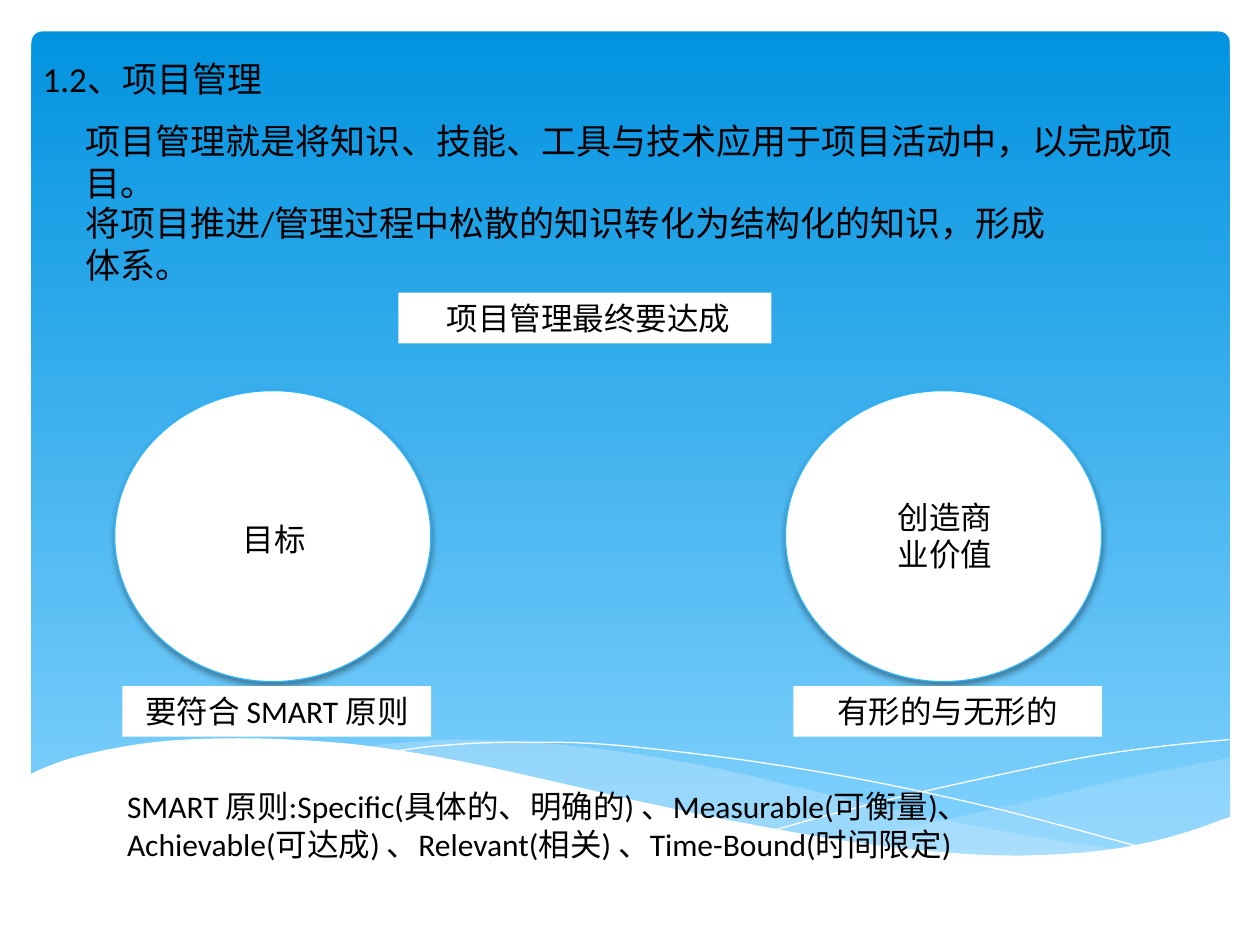
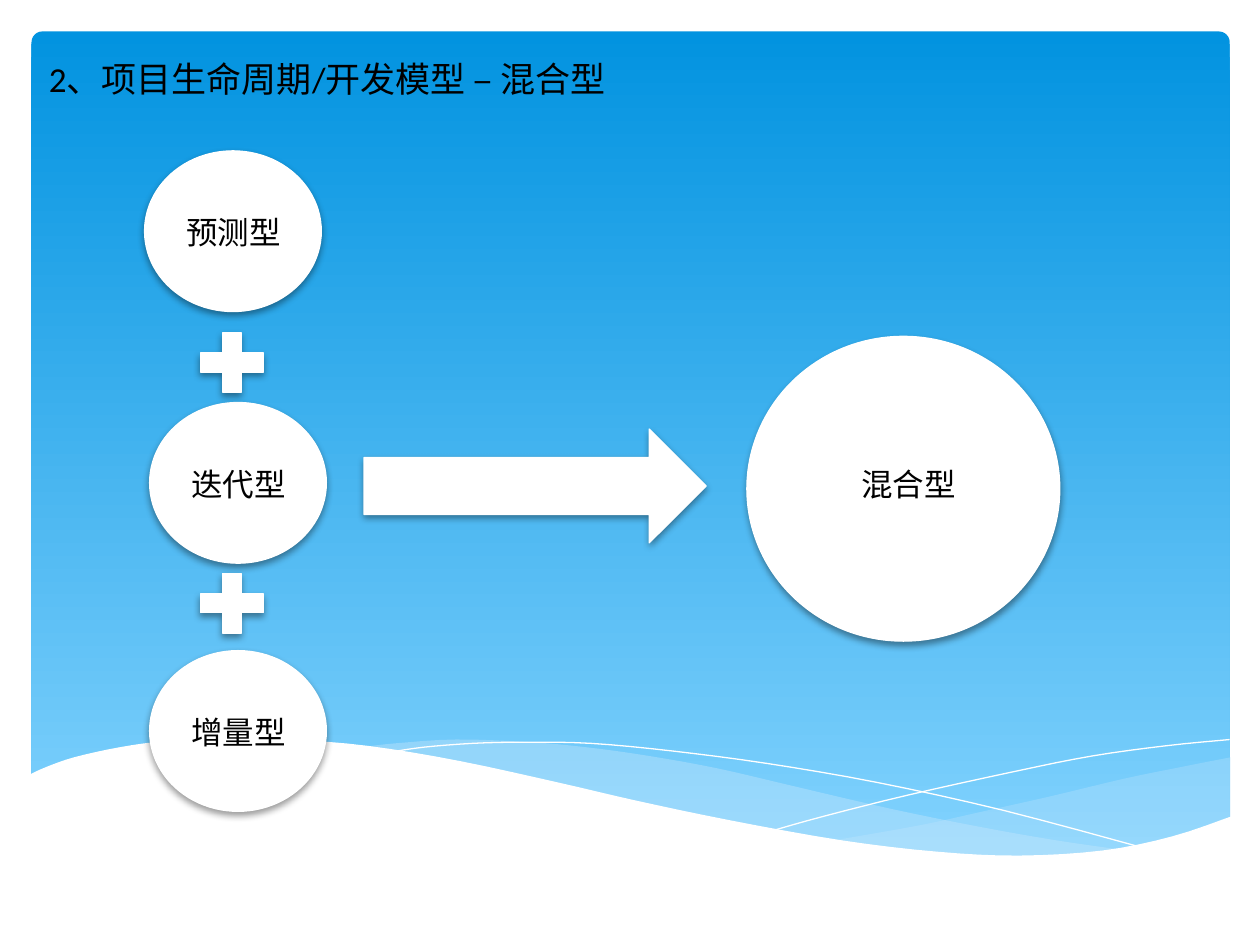
from dataclasses import dataclass

from lxml import etree
from pptx import Presentation
from pptx.dml.color import RGBColor
from pptx.enum.shapes import MSO_SHAPE
from pptx.enum.text import MSO_AUTO_SIZE, PP_ALIGN
from pptx.oxml.ns import qn
from pptx.util import Pt

OVAL = MSO_SHAPE.OVAL
PLUS = MSO_SHAPE.MATH_PLUS
ARROW = MSO_SHAPE.RIGHT_ARROW
ROUND = MSO_SHAPE.ROUNDED_RECTANGLE
LEFT = PP_ALIGN.LEFT
CENTER = PP_ALIGN.CENTER
GROW = MSO_AUTO_SIZE.SHAPE_TO_FIT_TEXT


@dataclass(frozen=True)
class Theme:
    ink: str = "000000"
    white: str = "FFFFFF"
    rim: str = "31B6FD"
    sky: tuple = ("0293E0", "83D3FE")
    mist: str = "C6E7FC"
    latin: str = "Calibri"
    asian: str = "Noto Sans CJK SC"
    head: int = 20
    body: int = 18


THEME = Theme()

SWELL_R = [
    (703.4, 432.7), (673.9, 438.5), (642.2, 445), (600.5, 455),
    (561.6, 463.7), (525.6, 471.6), (476.6, 480.2)]
BASE_R = [
    (476.6, 480.2), (508.3, 484.6), (545.8, 488.2), (586.8, 489.6),
    (622.1, 487.4), (653, 483.1), (679.7, 475.9), (703.4, 467.3)]
SWELL_L = [
    (643.7, 486), (603.4, 480.2), (558.7, 472.3), (509, 462.2),
    (453.6, 449.3), (410.4, 439.2), (370.8, 432), (334.8, 427),
    (302.4, 424.1), (260.6, 422.6), (226.1, 424.8), (206.6, 427)]
BASE_L = [
    (206.6, 427), (247, 432.7), (291.6, 441.4), (324, 449.3),
    (381.6, 462.2), (433.4, 473), (479.5, 481), (520.6, 486.7),
    (557.3, 488.9), (596.9, 489.6), (625, 488.2), (643.7, 486)]
FALL = [
    (223.2, 429.8), (241.9, 427), (270, 424.8), (300.2, 424.1),
    (337.7, 424.8), (383.8, 429.1), (438.5, 436.3), (501.1, 447.1),
    (573.1, 463), (653.8, 484.6)]
RISE = [
    (442.1, 474.5), (470.2, 466.6), (519.1, 454.3), (581, 440.6),
    (624.2, 432), (666, 426.2), (702.7, 422.6)]
CREST = [
    (703.4, 466.6), (669.6, 478), (630, 486), (582.5, 488.9),
    (535.7, 486.7), (481, 480.2), (416.9, 468.7), (362.2, 457.2),
    (321.8, 447.8), (262.8, 434.9), (210.2, 426.2), (165.6, 422.6),
    (127.4, 421.9), (95, 423.4), (68.4, 427), (42.5, 432.7),
    (25.9, 438.5), (16.6, 442.8)]
FLOOR = [(16.6, 526.3), (703.4, 526.3)]


def color(code):
    return RGBColor.from_string(code)


def paint(fill, code):
    fill.solid()
    fill.fore_color.rgb = color(code)


def smooth(nodes, steps=4):
    ends = [nodes[0], *nodes, nodes[-1]]
    curve = [nodes[0]]
    for a, b, c, d in zip(ends, ends[1:], ends[2:], ends[3:]):
        for step in range(1, steps + 1):
            t = step / steps
            curve.append(tuple(
                q + t / 2 * (r - p + t * (2 * p - 5 * q + 4 * r - s
                                          + t * (3 * (q - r) + s - p)))
                for p, q, r, s in zip(a, b, c, d)))
    return curve


def trace(slide, curve, close):
    dots = [(Pt(x), Pt(y)) for x, y in curve]
    pen = slide.shapes.build_freeform(*dots[0])
    pen.add_line_segments(dots[1:], close=close)
    shape = pen.convert_to_shape()
    shape.shadow.inherit = False
    return shape


def wave(slide, curve, code, alpha=100):
    shape = trace(slide, curve, True)
    paint(shape.fill, code)
    shape.line.fill.background()
    if alpha < 100:
        tint = shape._element.spPr.find(".//" + qn("a:srgbClr"))
        etree.SubElement(tint, qn("a:alpha"), val=str(alpha * 1000))


def streak(slide, nodes):
    shape = trace(slide, smooth(nodes), False)
    shape.fill.background()
    shape.line.color.rgb = color(THEME.white)
    shape.line.width = Pt(0)


def sky(slide):
    panel = slide.shapes.add_shape(ROUND, Pt(18), Pt(18), Pt(684.7), Pt(475.2))
    panel.adjustments[0] = 0.013
    panel.shadow.inherit = False
    panel.line.fill.background()
    panel.fill.gradient()
    panel.fill.gradient_angle = 270
    for stop, code in zip(panel.fill.gradient_stops, THEME.sky):
        stop.color.rgb = color(code)


def scene(deck):
    slide = deck.slides.add_slide(deck.slide_layouts[6])
    paint(slide.background.fill, THEME.white)
    sky(slide)
    wave(slide, smooth(SWELL_R) + smooth(BASE_R), THEME.mist, 29)
    wave(slide, smooth(SWELL_L) + smooth(BASE_L), THEME.mist, 40)
    streak(slide, FALL)
    streak(slide, RISE)
    wave(slide, smooth(CREST) + FLOOR, THEME.white)
    return slide


def write(slide, words, x, y, w, h, size=THEME.body, align=CENTER):
    box = slide.shapes.add_textbox(Pt(x), Pt(y), Pt(w), Pt(h))
    frame = box.text_frame
    frame.word_wrap = True
    frame.auto_size = GROW
    para = frame.paragraphs[0]
    para.alignment = align
    run = para.add_run()
    run.text = words
    font = run.font
    font.size = Pt(size)
    font.color.rgb = color(THEME.ink)
    font.name = THEME.latin
    etree.SubElement(run._r.get_or_add_rPr(), qn("a:ea"), typeface=THEME.asian)
    return box


def label(slide, words, x, y, w):
    paint(write(slide, words, x, y, w, 29).fill, THEME.white)


def title(slide, words, x):
    write(slide, words, x, 29.5, 436.3, 31.5, THEME.head, LEFT)


def solid(slide, kind, x, y, w, h, rim=THEME.white):
    shape = slide.shapes.add_shape(kind, Pt(x), Pt(y), Pt(w), Pt(h))
    paint(shape.fill, THEME.white)
    shape.line.color.rgb = color(rim)
    shape.line.width = Pt(0.75)
    shape.shadow.inherit = False
    glow = etree.SubElement(
        shape._element.spPr.find(qn("a:effectLst")), qn("a:outerShdw"),
        blurRad=str(Pt(4)), dist=str(Pt(2)), dir="5400000", rotWithShape="0")
    tint = etree.SubElement(glow, qn("a:srgbClr"), val=THEME.ink)
    etree.SubElement(tint, qn("a:alpha"), val="38000")


def manage(deck):
    slide = scene(deck)
    title(slide, "1.2、项目管理", 17.3)
    write(slide, "项目管理就是将知识、技能、工具与技术应用于项目活动中，以完成项目。",
          41.8, 64.8, 650.2, 55.4, THEME.head, LEFT)
    write(slide, "将项目推进/管理过程中松散的知识转化为结构化的知识，形成体系。",
          41.8, 111.6, 576, 55.4, THEME.head, LEFT)
    label(slide, " 项目管理最终要达成", 227.7, 167.2, 213.1)
    goals = [
        (65.5, "目标", 293.8, "要符合 SMART 原则"),
        (448.8, "创造商业价值", 280.8, "有形的与无形的")]
    for x, goal, y, note in goals:
        solid(slide, OVAL, x, 223.2, 180.7, 166.3, THEME.rim)
        write(slide, goal, x + 54, y, 74.2, 29.2)
        label(slide, note, x + 4.5, 392, 176.4)
    write(slide, "SMART 原则:Specific(具体的、明确的) 、Measurable(可衡量)、"
          "Achievable(可达成) 、Relevant(相关) 、Time-Bound(时间限定)",
          65.5, 446.4, 586.8, 72.7, THEME.body, LEFT)


def model(deck):
    slide = scene(deck)
    title(slide, "2、项目生命周期/开发模型 – 混合型", 20.9)
    parts = [("预测型", 82.6, 86.2), ("迭代型", 85.5, 230), ("增量型", 85.5, 371.8)]
    for name, x, y in parts:
        solid(slide, OVAL, x, y, 101, 91.8)
        write(slide, name, x + 10, y + 32, 81.4, 29)
    for y in (184.2, 321.8):
        solid(slide, PLUS, 108, y, 49, 46)
    solid(slide, ARROW, 208, 245.2, 195.5, 65)
    solid(slide, OVAL, 426.8, 192.2, 178.8, 174.2)
    write(slide, "混合型", 441.4, 262, 155.5, 29)


def main():
    deck = Presentation()
    deck.slide_width, deck.slide_height = Pt(720), Pt(540)
    manage(deck)
    model(deck)
    deck.save("out.pptx")


if __name__ == "__main__":
    main()
